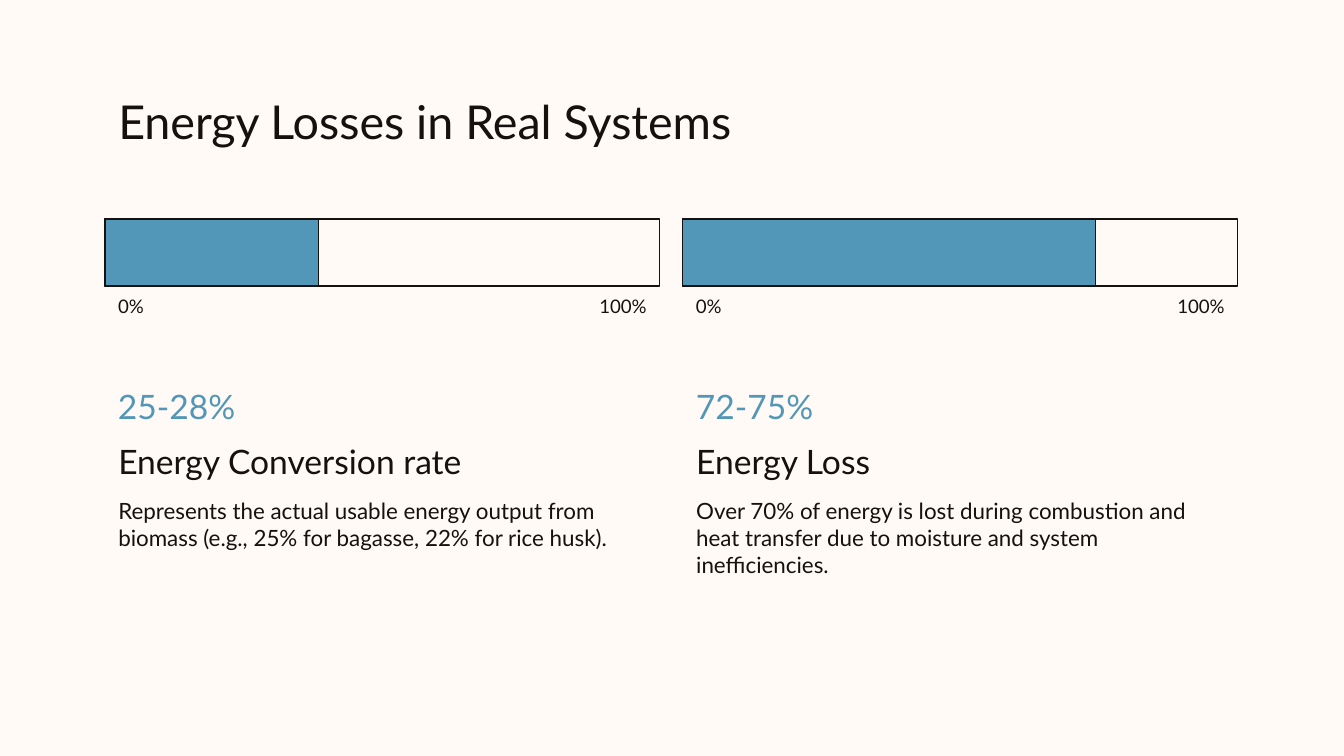
from pptx import Presentation
from pptx.dml.color import RGBColor
from pptx.enum.shapes import MSO_SHAPE
from pptx.enum.text import MSO_ANCHOR, MSO_AUTO_SIZE, PP_ALIGN
from pptx.util import Inches, Pt
from lxml.etree import SubElement
from pptx.oxml.ns import qn

CREAM = RGBColor(0xFF, 0xFA, 0xF6)
INK = RGBColor(0x15, 0x11, 0x0E)
BLUE = RGBColor(0x52, 0x96, 0xB8)

COL_W, BAR_TOP, BAR_H = 4.13, 1.63, 0.5


def write(sp, text, x, y, w, h, size, color=INK, anchor=MSO_ANCHOR.TOP, align=PP_ALIGN.LEFT):
    sp.left, sp.top, sp.width, sp.height = Inches(x), Inches(y), Inches(w), Inches(h)
    tf = sp.text_frame
    tf.word_wrap = True
    tf.auto_size = MSO_AUTO_SIZE.NONE
    tf.vertical_anchor = anchor
    tf.margin_left = tf.margin_right = tf.margin_top = tf.margin_bottom = Inches(0.1)
    tf.text = text
    p = tf.paragraphs[0]
    p.alignment = align
    p.space_before = Pt(0)
    pPr = p._p.get_or_add_pPr()
    pPr.set("marL", "0")
    pPr.set("indent", "0")
    SubElement(pPr, qn("a:buNone"))
    font = p.runs[0].font
    font.name, font.size, font.bold = "Lato", Pt(size), False
    font.color.rgb = color


def add_bar(x, w, fill=None):
    sp = s.shapes.add_shape(MSO_SHAPE.RECTANGLE, Inches(x), Inches(BAR_TOP), Inches(w), Inches(BAR_H))
    sp.shadow.inherit = False
    if fill is None:
        sp.fill.background()
    else:
        sp.fill.solid()
        sp.fill.fore_color.rgb = fill
    sp.line.color.rgb = INK
    sp.line.width = Pt(0.75)


# 16:9 slide on the Comparison layout
prs = Presentation()
prs.slide_width, prs.slide_height = Inches(10), Inches(10 * 9 / 16)
s = prs.slides.add_slide(prs.slide_layouts[4])
s.background.fill.solid()
s.background.fill.fore_color.rgb = CREAM

# Title
write(s.shapes.title, "Energy Losses in Real Systems", 0.78, 0.59, 8.44, 0.6, 25)

# Columns: left edge, filled width, heading and body placeholders, texts
columns = [
    (0.78, 1.59, 1, 2, "25-28%", "Energy Conversion rate",
     "Represents the actual usable energy output from biomass "
     "(e.g., 25% for bagasse, 22% for rice husk)."),
    (5.08, 3.07, 3, 4, "72-75%", "Energy Loss",
     "Over 70% of energy is lost during combustion and heat transfer "
     "due to moisture and system inefficiencies."),
]
for x, filled, head_idx, body_idx, value, heading, body in columns:
    # Progress bar
    add_bar(x, COL_W)
    add_bar(x, filled, BLUE)

    # Scale labels
    half = COL_W / 2
    for i, (label, align) in enumerate([("0%", PP_ALIGN.LEFT), ("100%", PP_ALIGN.RIGHT)]):
        tb = s.shapes.add_textbox(0, 0, 0, 0)
        write(tb, label, x + i * half, BAR_TOP + BAR_H, half, 0.3, 10,
              anchor=MSO_ANCHOR.MIDDLE, align=align)

    # Value, heading and description
    tb = s.shapes.add_textbox(0, 0, 0, 0)
    write(tb, value, x, 2.77, COL_W, 0.5, 18, BLUE, MSO_ANCHOR.MIDDLE)
    write(s.placeholders[head_idx], heading, x, 3.18, COL_W, 0.5, 18, anchor=MSO_ANCHOR.BOTTOM)
    write(s.placeholders[body_idx], body, x, 3.6, COL_W, 0.98, 12)

prs.save("out.pptx")
